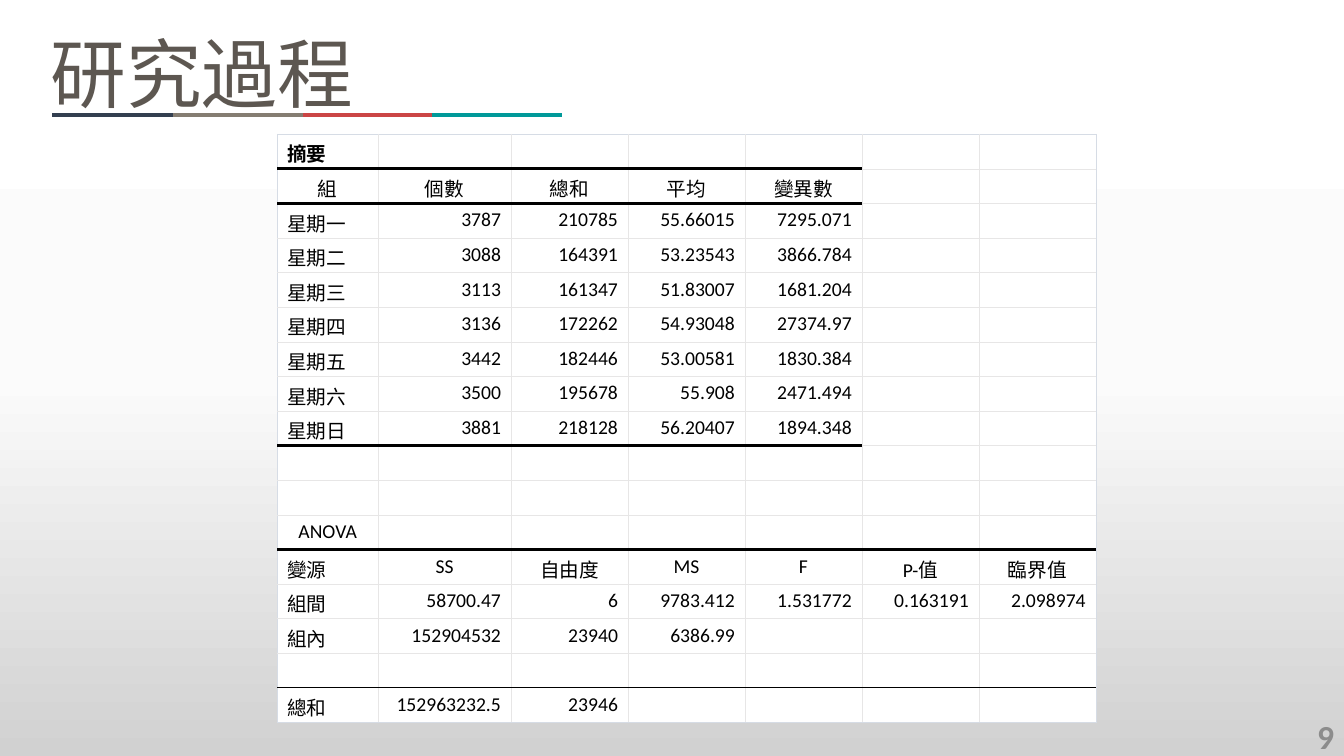
from copy import deepcopy

from lxml import etree
from pptx import Presentation
from pptx import util as u
from pptx.dml.color import RGBColor
from pptx.enum import shapes, text
from pptx.oxml.ns import qn

LEFT, CENTER, RIGHT = text.PP_ALIGN.LEFT, text.PP_ALIGN.CENTER, text.PP_ALIGN.RIGHT
BLACK, GRID, OUTLINE = "000000", "E7E6E6", "D6DCE5"

BACKGROUND = [(0, "FFFFFF"), (0.5, "FBFBFB"), (1, "D1D1D1")]
RULES = [(3.01, "CB4545"), (0.52, "333F50"), (1.72, "857D72"), (4.28, "009999")]
RULE_LENGTH = 1.29

ANOVA_ROWS = [
    ["摘要"],
    ["組", "個數", "總和", "平均", "變異數"],
    ["星期一", "3787", "210785", "55.66015", "7295.071"],
    ["星期二", "3088", "164391", "53.23543", "3866.784"],
    ["星期三", "3113", "161347", "51.83007", "1681.204"],
    ["星期四", "3136", "172262", "54.93048", "27374.97"],
    ["星期五", "3442", "182446", "53.00581", "1830.384"],
    ["星期六", "3500", "195678", "55.908", "2471.494"],
    ["星期日", "3881", "218128", "56.20407", "1894.348"],
    [],
    [],
    ["ANOVA"],
    ["變源", "SS", "自由度", "MS", "F", "P-值", "臨界值"],
    ["組間", "58700.47", "6", "9783.412", "1.531772", "0.163191", "2.098974"],
    ["組內", "152904532", "23940", "6386.99"],
    [],
    ["總和", "152963232.5", "23946"],
]
COLUMN_WIDTHS = [1, 1.32] + [1.16] * 5
HEADER_ROWS = (1, 12)
CENTERED_LABELS = ("組", "ANOVA")
RULED_ROWS = {0: (5, 2.25), 1: (5, 2.25), 8: (5, 2.25), 11: (7, 2.25), 15: (7, 1)}


def rgb(value):
    return RGBColor.from_string(value)


def horizontal_border(row, column):
    if row in (-1, len(ANOVA_ROWS) - 1):
        return OUTLINE, 0.25
    ruled_columns, width = RULED_ROWS.get(row, (0, 0))
    return (BLACK, width) if column < ruled_columns else (GRID, 0.25)


def vertical_border(column):
    return (OUTLINE if column in (-1, len(COLUMN_WIDTHS) - 1) else GRID), 0.25


def alignment(row, column, label):
    if label in CENTERED_LABELS:
        return CENTER
    if column == 0:
        return LEFT
    return CENTER if row in HEADER_ROWS else RIGHT


class ResearchSlide:
    """Holds the style and the current slide, and draws each kind of element."""

    latin = "Calibri"
    asian = "Noto Sans CJK SC"

    def __init__(self, deck):
        self.slide = deck.slides.add_slide(deck.slide_layouts[5])

    def background(self, stops):
        fill = self.slide.background.fill
        fill.gradient()
        fill.gradient_angle = 270
        stop_list = next(self.slide.element.iter(qn("a:gsLst")))
        stop_list.append(deepcopy(stop_list[0]))
        for stop, (position, color) in zip(fill.gradient_stops, stops):
            stop.position = position
            stop.color.rgb = rgb(color)

    def style(self, para, size, color, align=LEFT, bold=False, latin=None):
        para.alignment = align
        for span in para.runs:
            span.font.size = u.Pt(size)
            span.font.bold = bold
            span.font.name = latin or self.latin
            span.font.color.rgb = rgb(color)
            asian = etree.SubElement(span.font._element, qn("a:ea"))
            asian.set("typeface", self.asian)

    def title(self, words, left, top, width, height):
        box = self.slide.shapes.title
        box.left, box.top = u.Inches(left), u.Inches(top)
        box.width, box.height = u.Inches(width), u.Inches(height)
        frame = box.text_frame
        frame.text = words
        frame.word_wrap = False
        frame.auto_size = text.MSO_AUTO_SIZE.SHAPE_TO_FIT_TEXT
        frame.vertical_anchor = text.MSO_ANCHOR.TOP
        self.style(frame.paragraphs[0], 54, "5D5751", latin=self.asian)

    def rule(self, left, top, length, color):
        line = self.slide.shapes.add_connector(
            shapes.MSO_CONNECTOR.STRAIGHT,
            u.Inches(left), u.Inches(top), u.Inches(left + length), u.Inches(top))
        line.line.color.rgb = rgb(color)
        line.line.width = u.Pt(3)
        etree.SubElement(line._element.spPr, qn("a:effectLst"))

    def border(self, cell, side, color=None, width=0):
        properties = cell._tc.get_or_add_tcPr()
        line = etree.SubElement(properties, qn(f"a:{side}"), w=str(u.Pt(width)))
        if color:
            fill = etree.SubElement(line, qn("a:solidFill"))
            etree.SubElement(fill, qn("a:srgbClr"), val=color)
        else:
            etree.SubElement(line, qn("a:noFill"))

    def cell(self, cell, row, column, label):
        cell.margin_top, cell.margin_bottom = u.Inches(0.05), 0
        cell.margin_left = cell.margin_right = u.Inches(0.1)
        self.border(cell, "lnL", *vertical_border(column - 1))
        self.border(cell, "lnR", *vertical_border(column))
        self.border(cell, "lnT", *horizontal_border(row - 1, column))
        self.border(cell, "lnB", *horizontal_border(row, column))
        cell.fill.solid()
        cell.fill.fore_color.rgb = rgb("FFFFFF")
        para = cell.text_frame.paragraphs[0]
        if label:
            para.text = label
            self.style(para, 14, BLACK, alignment(row, column, label), bold=row == 0)
        else:
            etree.SubElement(para._p, qn("a:endParaRPr"), sz="1400")

    def grid(self, row_count, widths, left, top, width, height):
        holder = self.slide.shapes.add_table(
            row_count, len(widths), u.Inches(left), u.Inches(top),
            u.Inches(width), u.Inches(height))
        table = holder.table
        table.first_row = table.horz_banding = False
        for column, column_width in zip(table.columns, widths):
            column.width = u.Inches(column_width)
        holder.width = u.Inches(width)
        return holder

    def table(self, rows, widths, left, top, width, height):
        table = self.grid(len(rows), widths, left, top, width, height).table
        for row, labels in enumerate(rows):
            for column in range(len(widths)):
                label = labels[column] if column < len(labels) else ""
                self.cell(table.cell(row, column), row, column, label)

    def blank_table(self, left, top, width, height):
        holder = self.grid(1, [width], left, top, width, height)
        holder.table.rows[0].height = 0
        holder.height = u.Inches(height)
        cell = holder.table.cell(0, 0)
        for side in ("lnL", "lnR", "lnT", "lnB"):
            self.border(cell, side)
        cell.fill.background()

    def page_number(self, number, left, top, width, height):
        box = self.slide.shapes.add_textbox(
            u.Inches(left), u.Inches(top), u.Inches(width), u.Inches(height))
        frame = box.text_frame
        frame.text = number
        frame.word_wrap = True
        frame.vertical_anchor = text.MSO_ANCHOR.MIDDLE
        self.style(frame.paragraphs[0], 24, "8C8C8C", RIGHT, bold=True)


def main():
    deck = Presentation()
    deck.slide_width, deck.slide_height = u.Inches(13.33), u.Inches(7.5)
    page = ResearchSlide(deck)
    page.background(BACKGROUND)
    page.title("研究過程", 0.4, 0.22, 3.23, 1.01)
    for left, color in RULES:
        page.rule(left, 1.14, RULE_LENGTH, color)
    page.table(ANOVA_ROWS, COLUMN_WIDTHS, 2.75, 1.33, 8.15, 5.84)
    page.blank_table(10.9, 1.64, 0.23, 0.4)
    page.page_number("9", 10.33, 7.1, 3, 0.4)
    deck.save("out.pptx")


if __name__ == "__main__":
    main()
